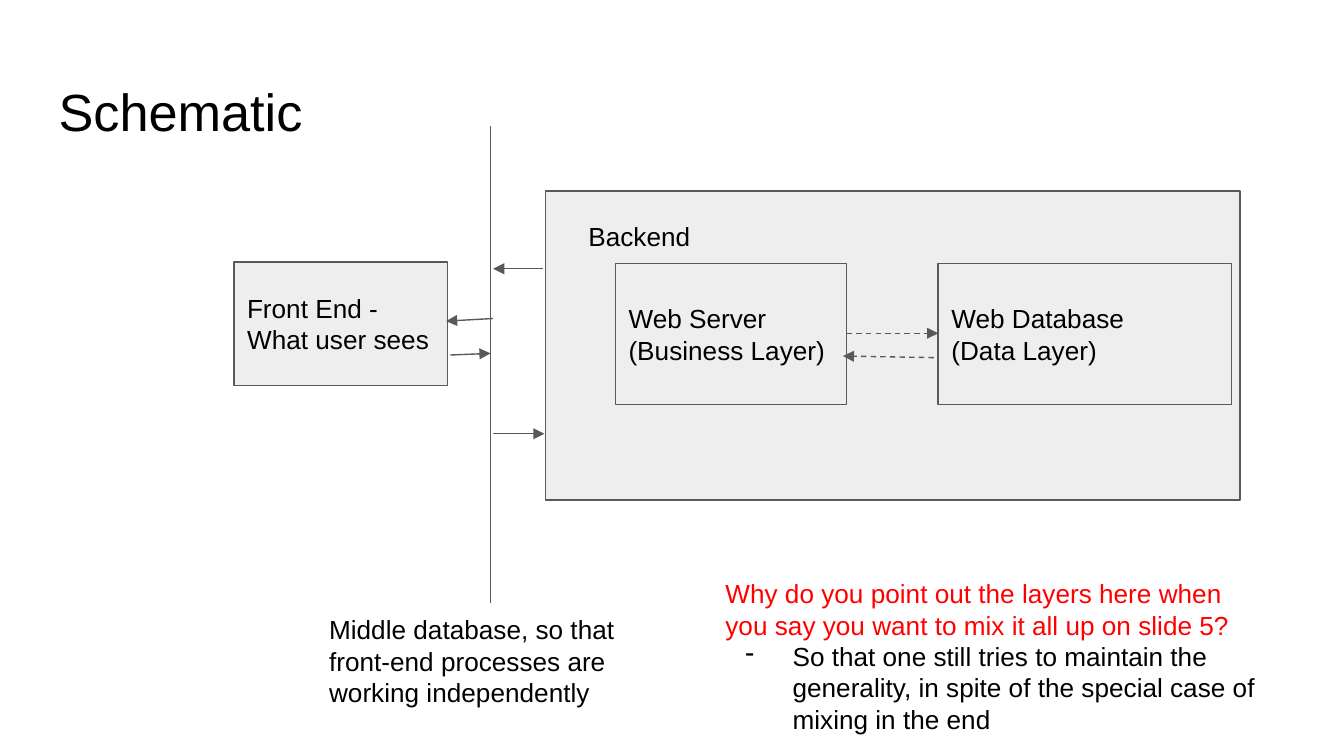
from lxml import etree
from pptx import Presentation
from pptx.dml.color import RGBColor
from pptx.enum.dml import MSO_LINE
from pptx.enum.shapes import MSO_CONNECTOR, MSO_SHAPE
from pptx.enum.text import MSO_ANCHOR
from pptx.oxml.ns import qn
from pptx.util import Cm, Pt

RECTANGLE = MSO_SHAPE.RECTANGLE
STRAIGHT = MSO_CONNECTOR.STRAIGHT
DASH = MSO_LINE.DASH
TOP, MIDDLE = MSO_ANCHOR.TOP, MSO_ANCHOR.MIDDLE

BLACK, RED, GREY, PALE = "000000", "FF0000", "595959", "EEEEEE"
INSET = Cm(0.25)


def color(value):
    """Turn a hex string into a colour."""
    return RGBColor.from_string(value)


def write(shape, lines, size=14, anchor=TOP):
    """Fill a shape with (text, colour) paragraphs."""
    frame = shape.text_frame
    layout = {"word_wrap": True, "vertical_anchor": anchor,
              "margin_left": INSET, "margin_right": INSET,
              "margin_top": INSET, "margin_bottom": INSET}
    for name, value in layout.items():
        setattr(frame, name, value)
    frame.text = "\n".join(text for text, _ in lines)
    for para, (_, ink) in zip(frame.paragraphs, lines):
        para.alignment = 1
        for span in para.runs:
            for name, value in {"name": "Arial", "size": Pt(size)}.items():
                setattr(span.font, name, value)
            span.font.color.rgb = color(ink)


deck = Presentation()
deck.slide_width, deck.slide_height = Cm(25.4), Cm(14.29)
page = deck.slides.add_slide(deck.slide_layouts[6])

# Boxes: left, top, width, height, lines
boxes = [
    (4.42, 4.95, 4.04, 2.34, ["Front End - What user sees"]),
    (10.31, 3.61, 13.13, 5.84, []),
    (11.63, 4.98, 4.37, 2.67, ["Web Server (Business Layer)"]),
    (17.73, 4.98, 5.54, 2.67, ["Web Database ", "(Data Layer)"]),
]
for left, top, width, height, lines in boxes:
    box = page.shapes.add_shape(RECTANGLE, Cm(left), Cm(top), Cm(width), Cm(height))
    box.shadow.inherit = False
    box.fill.solid()
    box.fill.fore_color.rgb = color(PALE)
    box.line.color.rgb = color(GREY)
    box.line.width = Pt(0.75)
    if lines:
        write(box, [(line, BLACK) for line in lines], anchor=MIDDLE)

# Lines: start x, start y, end x, end y, dashed, arrowhead
connectors = [
    (16.0, 6.3, 17.73, 6.3, True, True),
    (17.65, 6.76, 15.93, 6.73, True, True),
    (9.27, 2.39, 9.27, 11.4, False, False),
    (10.26, 5.08, 9.32, 5.08, False, True),
    (9.32, 8.2, 10.29, 8.2, False, True),
    (9.32, 6.02, 8.43, 6.07, False, True),
    (8.51, 6.71, 9.27, 6.68, False, True),
]
for x1, y1, x2, y2, dashed, arrowhead in connectors:
    link = page.shapes.add_connector(STRAIGHT, Cm(x1), Cm(y1), Cm(x2), Cm(y2))
    link.line.color.rgb = color(GREY)
    link.line.width = Pt(0.75)
    if dashed:
        link.line.dash_style = DASH
    if arrowhead:
        tail = etree.SubElement(link.line._get_or_add_ln(), qn("a:tailEnd"))
        for name, value in {"type": "triangle", "w": "med", "len": "med"}.items():
            tail.set(name, value)
    etree.SubElement(link._element.spPr, qn("a:effectLst"))

# Free text: left, top, width, height, size, lines
texts = [
    (0.86, 1.24, 23.67, 1.6, 28, [("Schematic", BLACK)]),
    (10.87, 3.91, 3.53, 0.81, 14, [("Backend", BLACK)]),
    (5.97, 11.35, 6.73, 2.59, 14,
     [("Middle database, so that front-end processes are working independently", BLACK)]),
    (13.46, 10.67, 10.77, 3.43, 14,
     [("Why do you point out the layers here when you say you want to mix it all up "
       "on slide 5? ", RED),
      ("So that one still tries to maintain the generality, in spite of the special "
       "case of mixing in the end", BLACK)]),
]
for left, top, width, height, size, lines in texts:
    box = page.shapes.add_textbox(Cm(left), Cm(top), Cm(width), Cm(height))
    write(box, lines, size)

# Dash bullet on the answer, the last paragraph of the last text
answer = box.text_frame.paragraphs[-1]._p.get_or_add_pPr()
answer.set("marL", str(Cm(1.27)))
answer.set("indent", str(-Cm(0.89)))
bullet_color = etree.SubElement(answer, qn("a:buClr"))
etree.SubElement(bullet_color, qn("a:srgbClr")).set("val", BLACK)
etree.SubElement(answer, qn("a:buChar")).set("char", "-")

deck.save("out.pptx")
